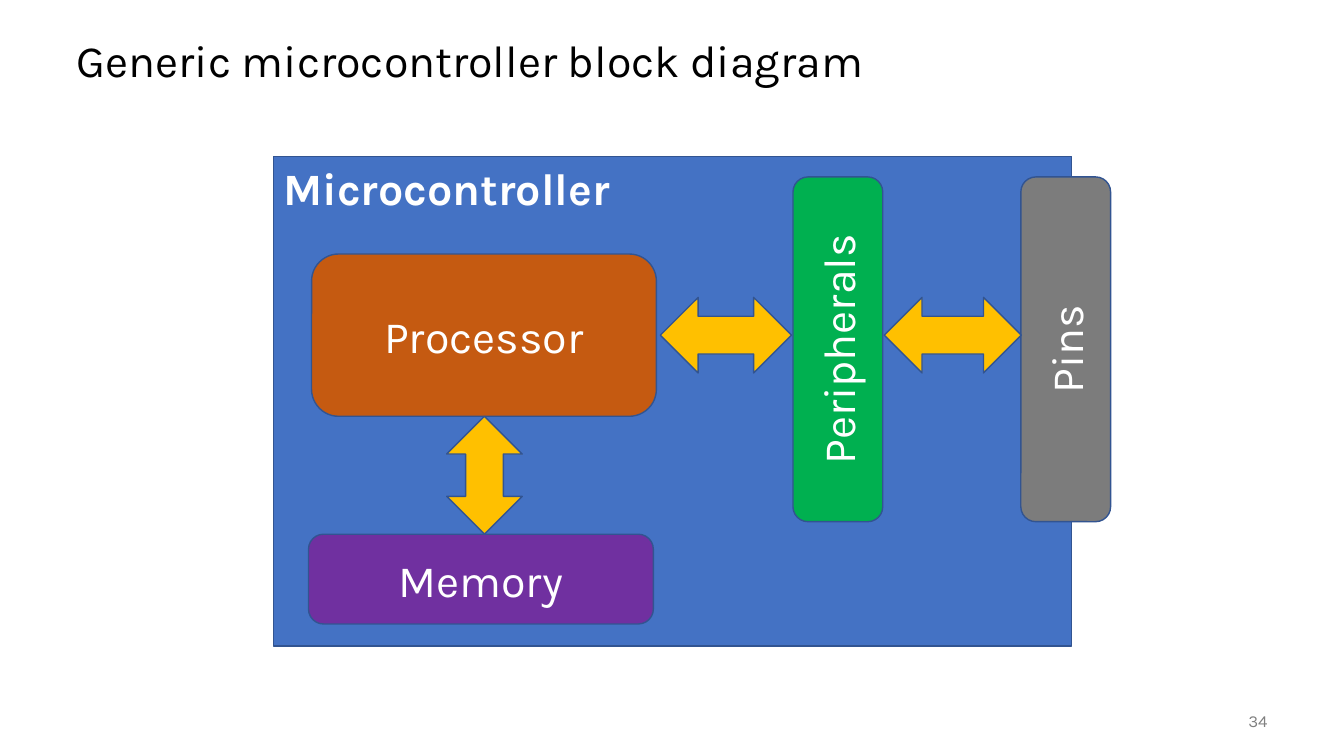
from pptx import Presentation
from pptx.dml.color import RGBColor
from pptx.enum.shapes import MSO_SHAPE
from pptx.enum.text import MSO_ANCHOR, PP_ALIGN
from pptx.util import Inches, Pt

RECT, ROUND = MSO_SHAPE.RECTANGLE, MSO_SHAPE.ROUNDED_RECTANGLE
ARROW = MSO_SHAPE.LEFT_RIGHT_ARROW
TOP, MIDDLE = MSO_ANCHOR.TOP, MSO_ANCHOR.MIDDLE
LEFT, CENTER, RIGHT = PP_ALIGN.LEFT, PP_ALIGN.CENTER, PP_ALIGN.RIGHT
COLORS = {
    "black": "000000", "white": "FFFFFF", "number": "808080",
    "edge": "325491", "chip": "4472C4", "processor": "C55A11",
    "memory": "7030A0", "peripherals": "00B050", "pins": "7C7C7C",
    "arrow": "FFC000",
}


def color(name):
    return RGBColor.from_string(COLORS[name])


def write(shape, text, size=32, ink="white", bold=False, align=CENTER,
          anchor=MIDDLE, spacing=1.0):
    frame = shape.text_frame
    frame.word_wrap = True
    frame.vertical_anchor = anchor
    line = frame.paragraphs[0]
    line.alignment = align
    line.line_spacing = spacing
    run = line.add_run()
    run.text = text
    run.font.name = "Karla"
    run.font.size = Pt(size)
    run.font.bold = bold
    run.font.color.rgb = color(ink)


deck = Presentation()
deck.slide_width, deck.slide_height = Inches(13.33), Inches(7.5)
slide = deck.slides.add_slide(deck.slide_layouts[5])

title = slide.shapes.title
title.left, title.top = Inches(0.66), Inches(0.25)
title.width, title.height = Inches(12), Inches(0.75)
write(title, "Generic microcontroller block diagram", ink="black",
      align=LEFT, spacing=0.9)

number = slide.shapes.add_textbox(
    Inches(11.67), Inches(6.95), Inches(1), Inches(0.4))
write(number, "34", size=12, ink="number", align=RIGHT)

# kind, fill, left, top, width, height, rotation, text, text format
parts = [
    (RECT, "chip", 2.71, 1.55, 7.92, 4.86, 0, "Microcontroller",
     dict(bold=True, align=LEFT, anchor=TOP)),
    (ROUND, "processor", 3.09, 2.52, 3.42, 1.61, 0, "Processor", {}),
    (ROUND, "memory", 3.06, 5.3, 3.42, 0.89, 0, "Memory", {}),
    (ROUND, "peripherals", 6.6, 3.02, 3.42, 0.89, 270, "Peripherals", {}),
    (ROUND, "pins", 8.86, 3.02, 3.42, 0.89, 270, "Pins", {}),
    (ARROW, "arrow", 6.55, 2.95, 1.3, 0.75, 0, "", {}),
    (ARROW, "arrow", 8.77, 2.95, 1.36, 0.75, 0, "", {}),
    (ARROW, "arrow", 4.22, 4.34, 1.17, 0.75, 90, "", {}),
]
for kind, fill, left, top, width, height, turn, text, form in parts:
    shape = slide.shapes.add_shape(
        kind, Inches(left), Inches(top), Inches(width), Inches(height))
    shape.rotation = turn
    shape.shadow.inherit = False
    shape.fill.solid()
    shape.fill.fore_color.rgb = color(fill)
    shape.line.color.rgb = color("edge")
    shape.line.width = Pt(1)
    if text:
        write(shape, text, **form)

deck.save("out.pptx")
